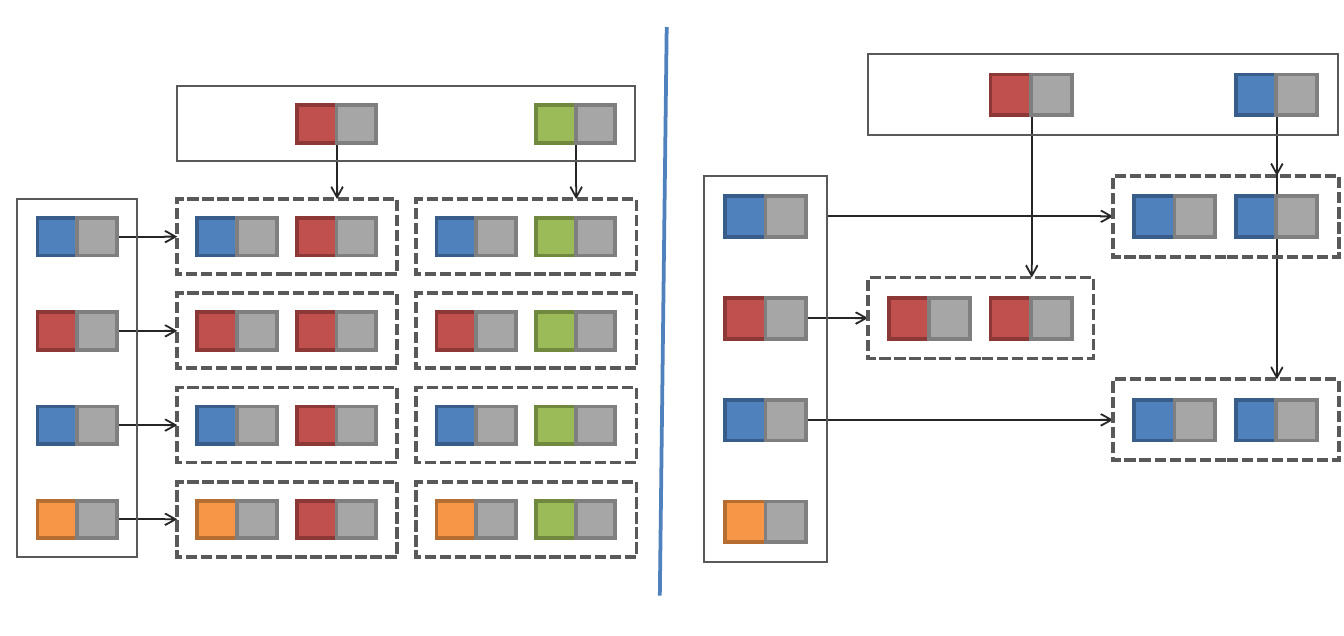
"""Two join diagrams side by side: every pair, and matching pairs only."""
from lxml import etree
from pptx import Presentation
from pptx import util as u
from pptx.dml.color import RGBColor
from pptx.enum import dml, shapes
from pptx.oxml import ns

FILL = {"blue": "4F81BD", "red": "C0504D", "green": "9BBB59",
        "orange": "F79646", "gray": "A6A6A6"}
EDGE = {"blue": "385D8A", "red": "8C3836", "green": "71893F",
        "orange": "B66D31", "gray": "7F7F7F"}
INK = {"frame": "595959", "arrow": "262626"}
ROWS = ["blue", "red", "blue", "orange"]


def stroke(line, hue, width):
    """Set the colour and width of a line."""
    line.color.rgb = RGBColor.from_string(hue)
    line.width = u.Pt(width)


def rect(parts, x, y, w, h, edge, width=2, fill=None, dash=False):
    """Add a sharp-cornered rectangle, hollow unless a fill is given."""
    box = parts.add_shape(shapes.MSO_SHAPE.RECTANGLE,
                          u.Cm(x), u.Cm(y), u.Cm(w), u.Cm(h))
    box.shadow.inherit = False
    if fill:
        box.fill.solid()
        box.fill.fore_color.rgb = RGBColor.from_string(fill)
    else:
        box.fill.background()
    stroke(box.line, edge, width)
    if dash:
        box.line.dash_style = dml.MSO_LINE.SQUARE_DOT
    join = etree.SubElement(box.line._get_or_add_ln(), ns.qn("a:miter"))
    join.set("lim", "800000")


def link(parts, x1, y1, x2, y2, hue, width=1, head=True):
    """Add a straight line, with an open arrowhead at its end if asked."""
    wire = parts.add_connector(shapes.MSO_CONNECTOR.STRAIGHT,
                               u.Cm(x1), u.Cm(y1), u.Cm(x2), u.Cm(y2))
    stroke(wire.line, hue, width)
    if head:
        tail = etree.SubElement(wire.line._get_or_add_ln(), ns.qn("a:tailEnd"))
        tail.set("type", "arrow")
    etree.SubElement(wire._element.spPr, ns.qn("a:effectLst"))


def panel(slide, box, cols, cells, across, down):
    """Draw one join diagram, scaled to fill its box."""
    parts = slide.shapes.add_group_shape().shapes
    left, top, wide, high = box
    kx, ky = wide / 11.68, high / 8.89

    def place(x, y, w, h, *args, **opts):
        """Add a rectangle in panel units."""
        rect(parts, left + x * kx, top + y * ky, w * kx, h * ky, *args, **opts)

    def arrow(x1, y1, x2, y2):
        """Add an arrow in panel units."""
        link(parts, left + x1 * kx, top + y1 * ky,
             left + x2 * kx, top + y2 * ky, INK["arrow"])

    def pair(x, y, hue):
        """Add a coloured key beside its gray value."""
        for i, name in enumerate((hue, "gray")):
            place(x + i * 0.75, y + 0.36, 0.75, 0.71, EDGE[name], fill=FILL[name])

    row_y = [2.13 + 1.78 * i for i in range(len(ROWS))]
    col_x = [3.02 + 4.52 * i for i in range(len(cols))]
    for row, col, start in across:
        arrow(start, row_y[row] + 0.71, col_x[col], row_y[row] + 0.71)
    for row, col, start in down:
        arrow(col_x[col] + 3.02, start, col_x[col] + 3.02, row_y[row])
    for y, hue in zip(row_y, ROWS):
        pair(0.38, y, hue)
    for x, hue in zip(col_x, cols):
        pair(x + 2.26, 0, hue)
    for row, col in cells:
        x, y = col_x[col], row_y[row]
        place(x, y, 4.16, 1.42, INK["frame"], dash=True)
        pair(x + 0.38, y, ROWS[row])
        pair(x + 2.26, y, cols[col])
    place(0, 2.13, 2.26, 6.76, INK["frame"], width=1)
    place(3.02, 0, 8.66, 1.42, INK["frame"], width=1)


def main():
    """Build and save the slide."""
    deck = Presentation()
    deck.slide_width, deck.slide_height = u.Inches(10), u.Inches(4.73)
    slide = deck.slides.add_slide(deck.slide_layouts[6])
    panel(slide, (0.33, 1.63, 11.68, 8.89), ["red", "green"],
          cells=[(row, col) for col in range(2) for row in range(4)],
          across=[(row, 0, 1.88) for row in range(4)],
          down=[(0, 0, 0.71), (0, 1, 0.71)])
    panel(slide, (13.31, 1.02, 11.97, 9.6), ["red", "blue"],
          cells=[(0, 1), (1, 0), (2, 1)],
          across=[(0, 1, 2.26), (1, 0, 1.88), (2, 1, 1.88)],
          down=[(1, 0, 1.07), (0, 1, 0.71), (2, 1, 1.42)])
    link(slide.shapes, 12.47, 11.25, 12.6, 0.51, FILL["blue"], 2, head=False)
    deck.save("out.pptx")


if __name__ == "__main__":
    main()
